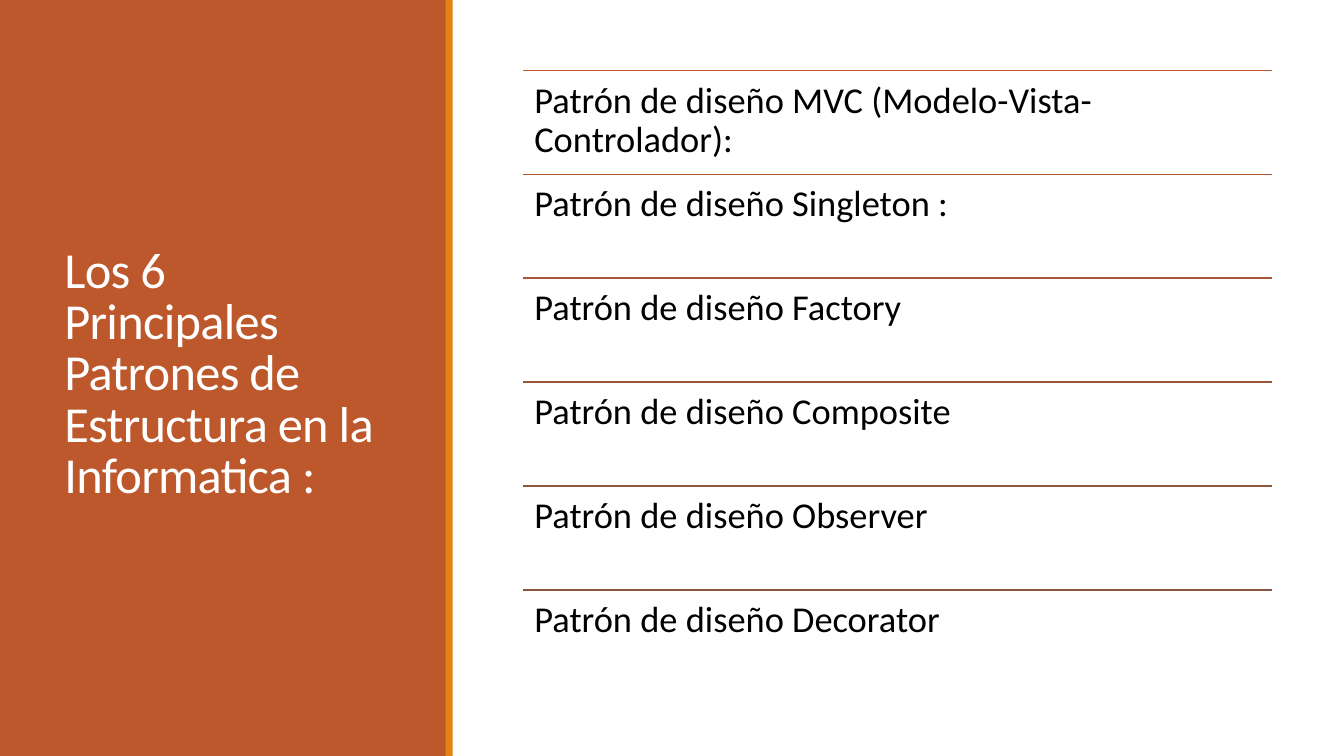
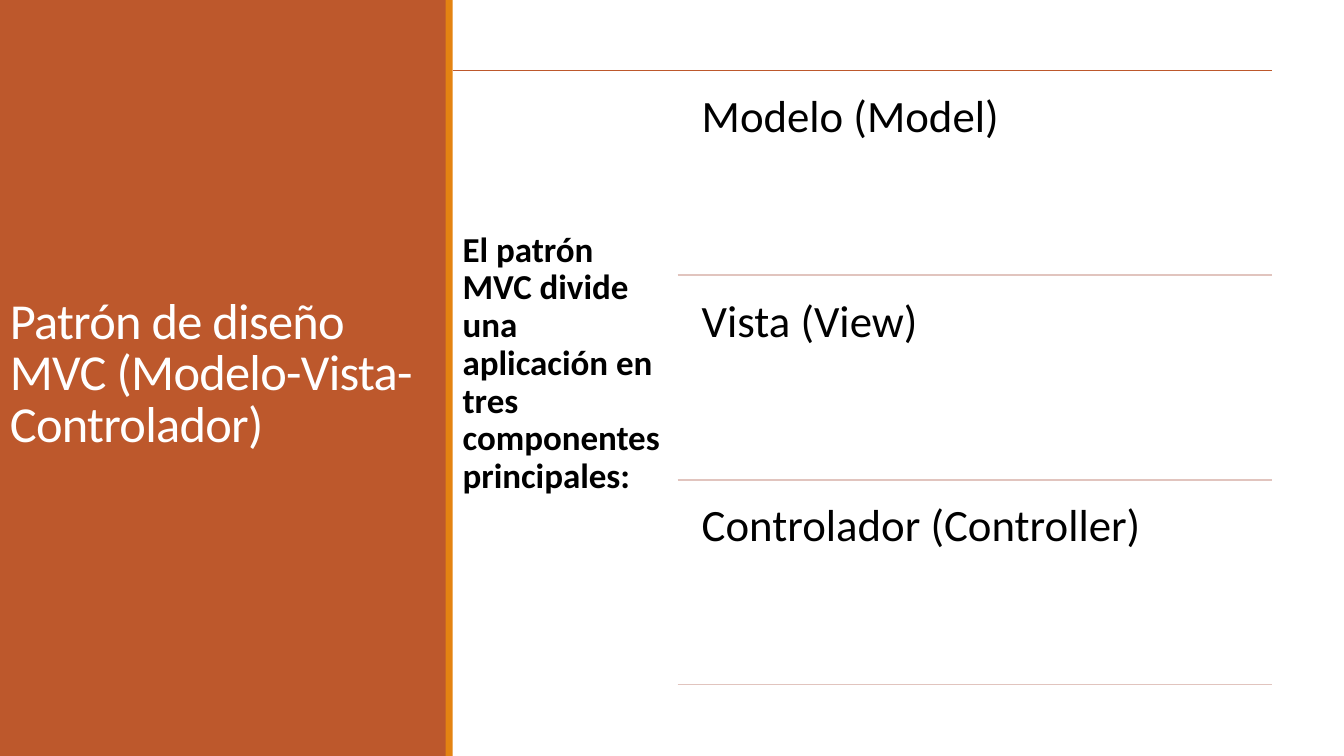
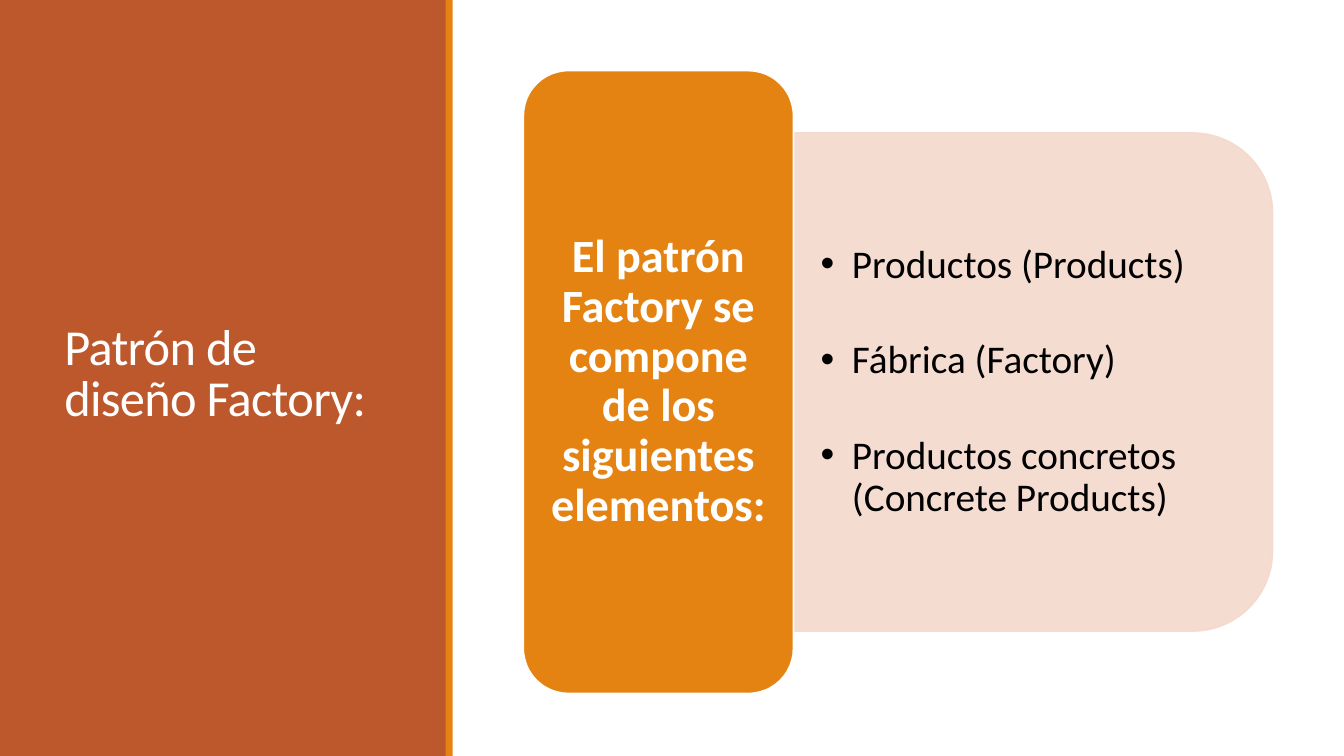
from dataclasses import dataclass

from lxml.etree import SubElement
from pptx import Presentation
from pptx.dml.color import RGBColor
from pptx.enum.shapes import MSO_CONNECTOR as Connector, MSO_SHAPE as Shape
from pptx.enum.text import MSO_ANCHOR as Anchor, PP_ALIGN as Align
from pptx.oxml.ns import qn
from pptx.util import Inches, Pt


@dataclass(frozen=True)
class Theme:
    font: str = "Calibri"
    rust: str = "BD582C"
    orange: str = "E48312"
    brown: str = "865640"
    blush: str = "F5D9CC"
    pale_rule: str = "E1C4BE"
    white: str = "FFFFFF"
    black: str = "000000"
    title_size: int = 36
    row_size: int = 26
    lead_size: int = 25
    part_size: int = 32
    bullet_size: int = 28
    card_size: int = 33
    rule_width: float = 1.25


THEME = Theme()
PAGE_WIDTH, PAGE_HEIGHT = 13.33, 7.5
CONTENT = (5.19, 0.7, 7.43, 6.18)
TITLE_BOX = (0.54, 0.57, 3.37, 6.31)
WIDE_TITLE_BOX = (0, 0.57, 4.36, 6.31)


def rgb(color):
    return RGBColor.from_string(color)


def blend(start, end, share):
    """Mix two RRGGBB colours."""
    pairs = zip(rgb(start), rgb(end))
    return "".join(f"{round(a + (b - a) * share):02X}" for a, b in pairs)


def fill_text(shape, *lines, size, color=THEME.black, bold=False, align=Align.LEFT,
              anchor=Anchor.TOP, insets=(0.1, 0.05, 0.1, 0.05), leading=0.9,
              gap=0, tracking=None, bullet_indent=None):
    frame = shape.text_frame
    frame.word_wrap = True
    frame.vertical_anchor = anchor
    (frame.margin_left, frame.margin_top,
     frame.margin_right, frame.margin_bottom) = map(Inches, insets)
    for index, line in enumerate(lines):
        para = frame.add_paragraph() if index else frame.paragraphs[0]
        para.alignment = align
        para.line_spacing = leading
        para.space_after = Pt(gap if index < len(lines) - 1 else 0)
        span = para.add_run()
        span.text = line
        font = span.font
        font.name, font.size, font.bold = THEME.font, Pt(size), bold
        font.color.rgb = rgb(color)
        if tracking is not None:
            span._r.get_or_add_rPr().set("spc", str(round(tracking * 100)))
        if bullet_indent:
            props = para._p.get_or_add_pPr()
            props.set("marL", str(Inches(bullet_indent)))
            props.set("indent", str(-Inches(bullet_indent)))
            SubElement(props, qn("a:buFont")).set("typeface", "Arial")
            SubElement(props, qn("a:buChar")).set("char", "•")


def add_text(page, box, *lines, **style):
    fill_text(page.shapes.add_textbox(*map(Inches, box)), *lines, **style)


def add_block(page, kind, box, fill, line=None, opacity=None):
    shape = page.shapes.add_shape(kind, *map(Inches, box))
    shape.shadow.inherit = False
    shape.fill.solid()
    shape.fill.fore_color.rgb = rgb(fill)
    if line:
        shape.line.color.rgb = rgb(line)
        shape.line.width = Pt(THEME.rule_width)
    else:
        shape.line.fill.background()
    if opacity is not None:
        for color in shape._element.spPr.iter(qn("a:srgbClr")):
            SubElement(color, qn("a:alpha")).set("val", str(opacity * 1000))
    return shape


def add_rule(page, left, right, top, color):
    rule = page.shapes.add_connector(
        Connector.STRAIGHT, Inches(left), Inches(top), Inches(right), Inches(top))
    rule.line.color.rgb = rgb(color)
    rule.line.width = Pt(THEME.rule_width)
    SubElement(rule._element.spPr, qn("a:effectLst"))


def add_page(deck, title, title_box=TITLE_BOX):
    """Add a page with the title panel on its left."""
    page = deck.slides.add_slide(deck.slide_layouts[6])
    add_block(page, Shape.RECTANGLE, (0, 0, 4.43, PAGE_HEIGHT), THEME.rust)
    add_text(page, title_box, title, size=THEME.title_size, color=THEME.white,
             anchor=Anchor.MIDDLE, leading=0.85, tracking=-0.5)
    add_block(page, Shape.RECTANGLE, (4.42, 0, 0.07, PAGE_HEIGHT), THEME.orange)
    return page


def add_ruled_list(page, box, items):
    """Stack equal rows, each under a rule that fades from rust to brown."""
    left, top, width, height = box
    row_height = height / len(items)
    for index, item in enumerate(items):
        row_top = top + index * row_height
        color = blend(THEME.rust, THEME.brown, index / (len(items) - 1))
        add_rule(page, left, left + width, row_top, color)
        add_text(page, (left, row_top, width, row_height), item,
                 size=THEME.row_size, insets=(0.11,) * 4)


def add_lead_with_parts(page, box, lead, parts):
    """Put a lead sentence beside equal rows that each end in a pale rule."""
    left, top, width, height = box
    lead_width, part_height, gap = 2.23, 1.93, 0.1
    right, parts_left = left + width, left + lead_width
    add_rule(page, left, right, top, THEME.rust)
    add_text(page, (left, top, lead_width, height), lead, size=THEME.lead_size,
             bold=True, insets=(0.1, 1.6, 0.1, 0.1))
    for index, part in enumerate(parts):
        part_top = top + gap + index * (part_height + gap)
        add_text(page, (parts_left + 0.11, part_top, right - parts_left - 0.11, part_height),
                 part, size=THEME.part_size, insets=(0.13,) * 4)
        add_rule(page, parts_left, right, part_top + part_height, THEME.pale_rule)


def add_card_with_bullets(page, box, heading, bullets):
    """Put a rounded heading card before a panel that is rounded on its right."""
    left, top, width, height = box
    card_width = 2.68
    panel_left, panel_width, panel_height = left + card_width, width - card_width, 4.94
    middle = top + height / 2
    center = panel_left + panel_width / 2
    # The panel is turned a quarter, so its frame swaps width and height.
    panel = add_block(page, Shape.ROUND_2_SAME_RECTANGLE,
                      (center - panel_height / 2, middle - panel_width / 2,
                       panel_height, panel_width),
                      THEME.blush, line=THEME.blush, opacity=90)
    panel.rotation = 90
    add_text(page, (panel_left, middle - 2.24, panel_width - 0.23, 4.48), *bullets,
             size=THEME.bullet_size, anchor=Anchor.MIDDLE, gap=38,
             insets=(0.27, 0.14, 0.27, 0.14), bullet_indent=0.31)
    card = add_block(page, Shape.ROUNDED_RECTANGLE, (left, top, card_width, height),
                     THEME.orange, line=THEME.white)
    fill_text(card, heading, size=THEME.card_size, color=THEME.white, bold=True,
              align=Align.CENTER, anchor=Anchor.MIDDLE, insets=(0.14, 0.07, 0.14, 0.07))


def main():
    deck = Presentation()
    deck.slide_width, deck.slide_height = Inches(PAGE_WIDTH), Inches(PAGE_HEIGHT)

    page = add_page(deck, "Los 6 Principales Patrones de Estructura en la Informatica :")
    add_ruled_list(page, CONTENT, [
        "Patrón de diseño MVC (Modelo-Vista-Controlador):",
        "Patrón de diseño Singleton :",
        "Patrón de diseño Factory",
        "Patrón de diseño Composite",
        "Patrón de diseño Observer",
        "Patrón de diseño Decorator",
    ])

    page = add_page(deck, "Patrón de diseño MVC (Modelo-Vista-Controlador)", WIDE_TITLE_BOX)
    add_lead_with_parts(
        page, (4.49, 0.7, 8.13, 6.18),
        "El patrón MVC divide una aplicación en tres componentes principales:",
        ["Modelo (Model)", "Vista (View)", "Controlador (Controller)"])

    page = add_page(deck, "Patrón de diseño Factory:")
    add_card_with_bullets(
        page, CONTENT,
        "El patrón Factory se compone de los siguientes elementos:",
        ["Productos (Products)", "Fábrica (Factory)",
         "Productos concretos (Concrete Products)"])

    deck.save("out.pptx")


if __name__ == "__main__":
    main()
